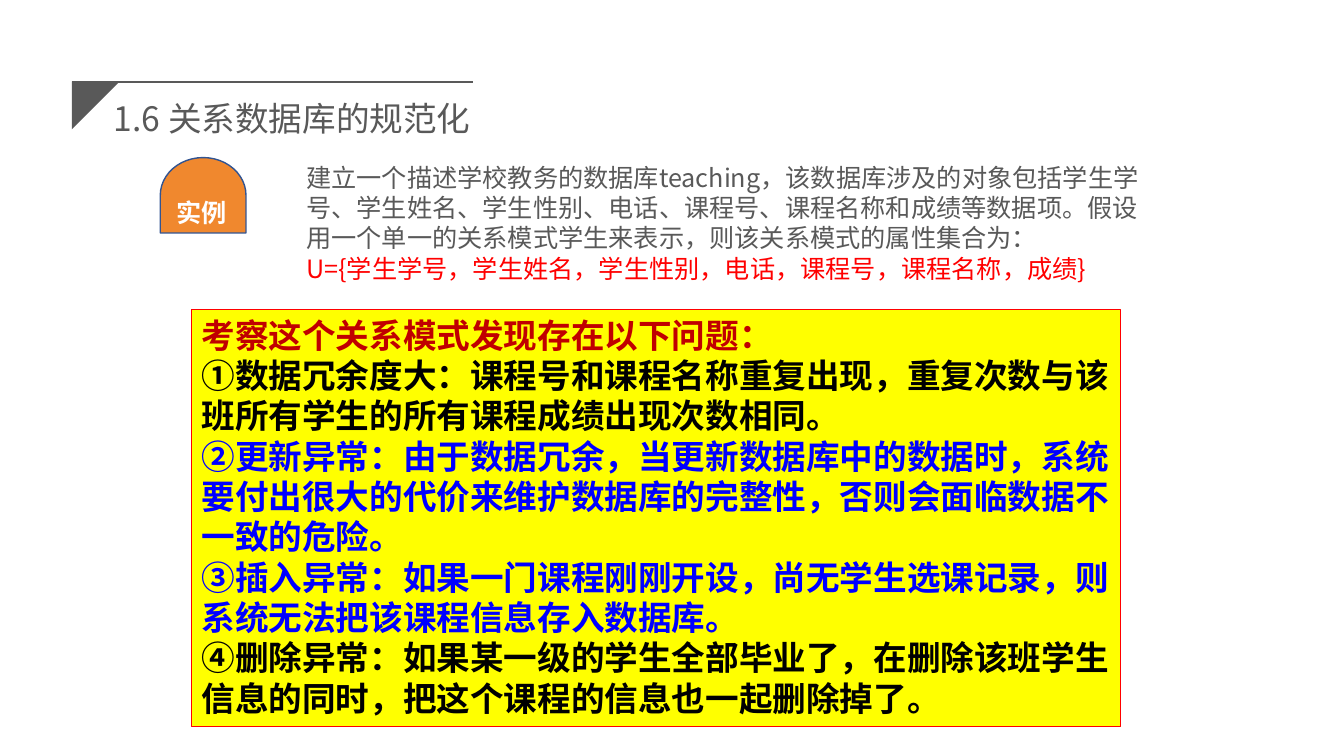
from lxml import etree
from pptx import Presentation
from pptx.dml.color import RGBColor
from pptx.enum.shapes import MSO_CONNECTOR, MSO_SHAPE
from pptx.enum.text import MSO_ANCHOR, PP_ALIGN
from pptx.oxml.ns import qn
from pptx.util import Cm, Pt

RECTANGLE = MSO_SHAPE.RECTANGLE
DELAY = MSO_SHAPE.FLOWCHART_DELAY
STRAIGHT = MSO_CONNECTOR.STRAIGHT
TOP = MSO_ANCHOR.TOP
LEFT = PP_ALIGN.LEFT

COLORS = {
    "gray": "595959", "orange": "F0882E", "navy": "325491", "white": "FFFFFF",
    "yellow": "FFFF00", "red": "FF0000", "crimson": "C00000",
    "black": "000000", "blue": "0000FF",
}
CJK_FONT = "Noto Sans CJK SC"
LINE_RATIO = 1.2


def color(name):
    return RGBColor.from_string(COLORS[name])


class Page:
    """The current slide and the style of its elements."""

    def __init__(self, deck):
        self.slide = deck.slides.add_slide(deck.slide_layouts[5])
        self.shapes = self.slide.shapes

    def fill_text(self, box, lines, size, font=CJK_FONT, bold=False, indent=0):
        """Fill a box with (text, color) lines, one paragraph each."""
        frame = box.text_frame
        frame.word_wrap = True
        frame.vertical_anchor = TOP
        frame.margin_left = frame.margin_right = Cm(0.25)
        frame.margin_top = frame.margin_bottom = Cm(0.13)
        for number, (text, ink) in enumerate(lines):
            para = frame.add_paragraph() if number else frame.paragraphs[0]
            para.alignment = LEFT
            para.line_spacing = Pt(size * LINE_RATIO)
            para.space_before = Pt(0)
            if indent:
                properties = para._p.get_or_add_pPr()
                properties.set("marL", str(Cm(indent)))
                properties.set("indent", "0")
            span = para.add_run()
            span.text = text
            span.font.name = font
            span.font.size = Pt(size)
            span.font.bold = bold
            span.font.color.rgb = color(ink)
            east_asian = etree.SubElement(span._r.get_or_add_rPr(), qn("a:ea"))
            east_asian.set("typeface", CJK_FONT)

    def title(self, text, x, y, width, height):
        box = self.shapes.title
        box.left, box.top, box.width, box.height = map(Cm, (x, y, width, height))
        self.fill_text(box, [(text, "gray")], 24)

    def text(self, x, y, width, height, lines, size, **style):
        box = self.shapes.add_textbox(*map(Cm, (x, y, width, height)))
        self.fill_text(box, lines, size, **style)

    def paint(self, shape, fill, line=None, weight=1):
        shape.shadow.inherit = False
        shape.fill.solid()
        shape.fill.fore_color.rgb = color(fill)
        if line:
            shape.line.color.rgb = color(line)
            shape.line.width = Pt(weight)
        else:
            shape.line.fill.background()

    def shape(self, kind, x, y, width, height, fill, line, weight):
        box = self.shapes.add_shape(kind, *map(Cm, (x, y, width, height)))
        self.paint(box, fill, line, weight)
        return box

    def corner(self, x, y, side, fill):
        builder = self.shapes.build_freeform(Cm(x), Cm(y))
        builder.add_line_segments([(Cm(x + side), Cm(y)), (Cm(x), Cm(y + side))])
        self.paint(builder.convert_to_shape(), fill)

    def rule(self, x, y, length, ink, weight):
        line = self.shapes.add_connector(STRAIGHT, Cm(x), Cm(y), Cm(x + length), Cm(y))
        line.line.color.rgb = color(ink)
        line.line.width = Pt(weight)
        etree.SubElement(line._element.spPr, qn("a:effectLst"))


def main():
    deck = Presentation()
    deck.slide_width, deck.slide_height = Cm(33.87), Cm(19.05)
    page = Page(deck)

    # Heading with its corner mark
    page.corner(1.81, 2.06, 1.2, "gray")
    page.rule(1.81, 2.06, 10.1, "gray", 1.75)
    page.title("1.6 关系数据库的规范化", 2.62, 2.34, 11.58, 1.27)

    # Example badge
    badge = page.shape(DELAY, 4.17, 3.84, 1.9, 2.16, "orange", "navy", 1)
    badge.rotation = 270
    page.text(4.19, 4.85, 1.83, 1.02, [("实例", "white")], 18,
              font="Calibri", bold=True)

    # Example description
    page.text(6.2, 3.96, 23.32, 3.33, [
        ("建立一个描述学校教务的数据库teaching，该数据库涉及的对象包括学生学号、"
         "学生姓名、学生性别、电话、课程号、课程名称和成绩等数据项。假设用一个单一的"
         "关系模式学生来表示，则该关系模式的属性集合为：", "gray"),
        ("U={学生学号，学生姓名，学生性别，电话，课程号，课程名称，成绩}", "red"),
    ], 18, indent=1.27)

    # Problems of the schema
    panel = page.shape(RECTANGLE, 4.83, 7.8, 23.42, 10.52, "yellow", "red", 0.75)
    page.fill_text(panel, [
        ("考察这个关系模式发现存在以下问题：", "crimson"),
        ("①数据冗余度大：课程号和课程名称重复出现，重复次数与该班所有学生的所有课程"
         "成绩出现次数相同。", "black"),
        ("②更新异常：由于数据冗余，当更新数据库中的数据时，系统要付出很大的代价来维护"
         "数据库的完整性，否则会面临数据不一致的危险。", "blue"),
        ("③插入异常：如果一门课程刚刚开设，尚无学生选课记录，则系统无法把该课程信息"
         "存入数据库。", "blue"),
        ("④删除异常：如果某一级的学生全部毕业了，在删除该班学生信息的同时，把这个课程"
         "的信息也一起删除掉了。", "black"),
    ], 24, bold=True)

    deck.save("out.pptx")


if __name__ == "__main__":
    main()
